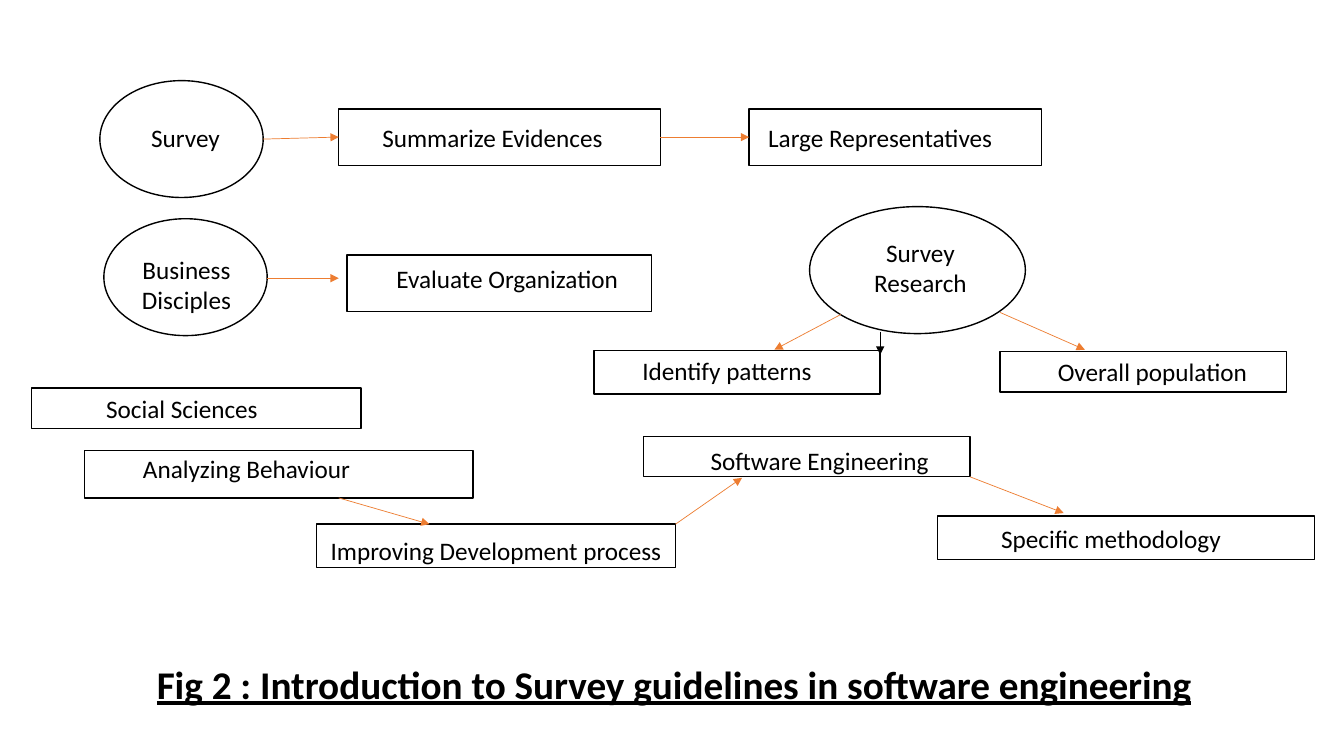
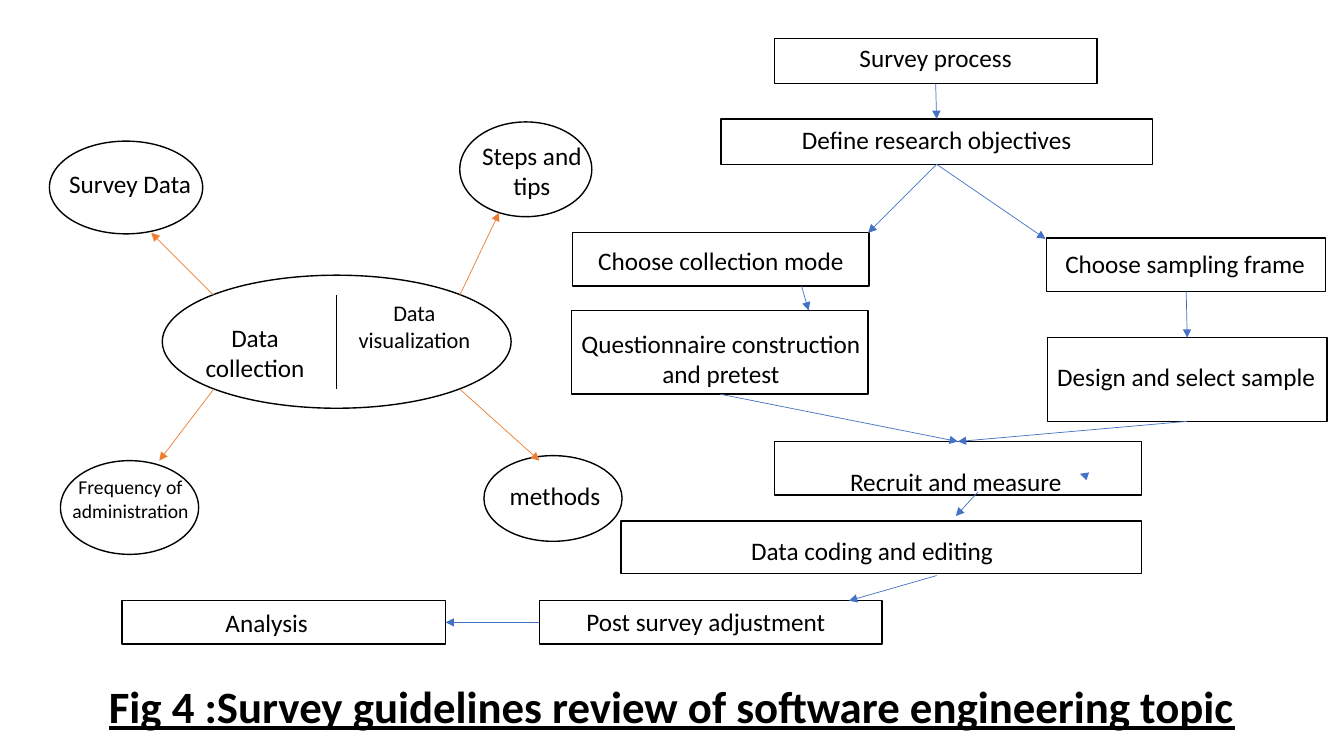
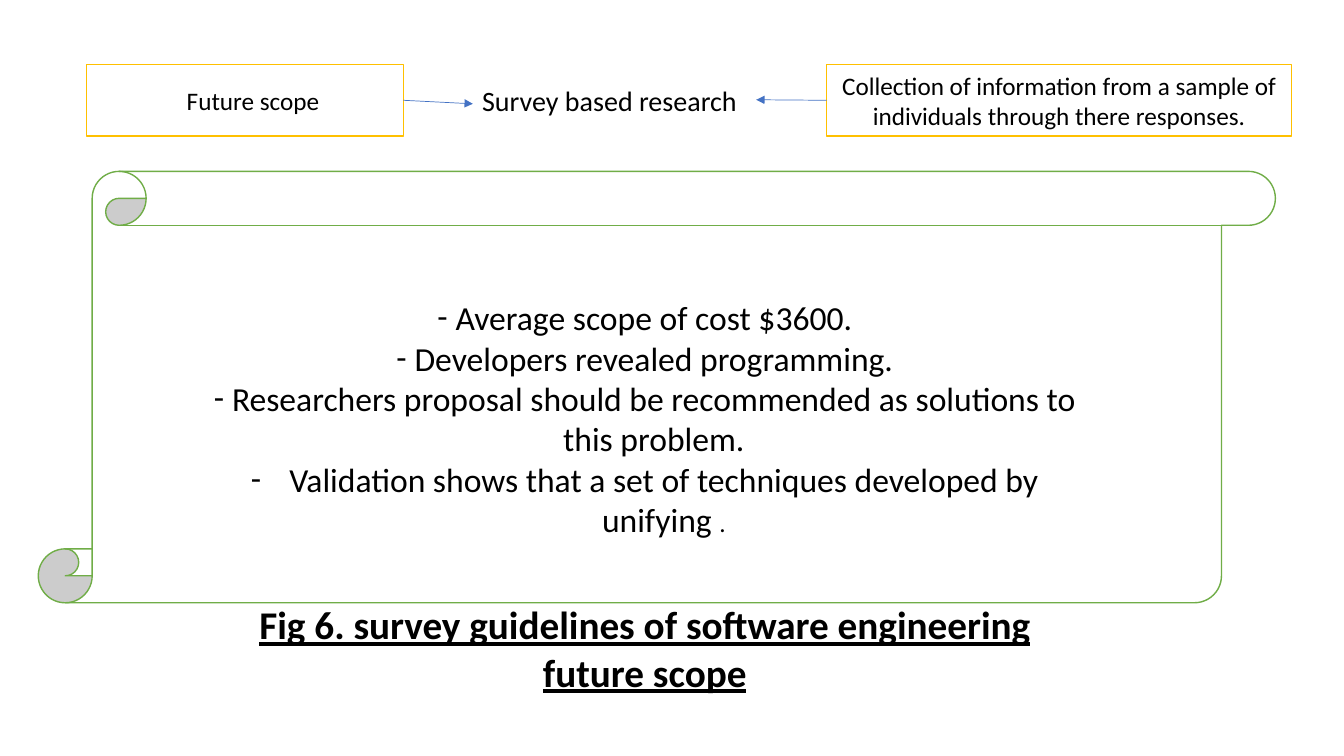
from lxml import etree
from pptx import Presentation
from pptx.dml.color import RGBColor
from pptx.enum.shapes import MSO_CONNECTOR, MSO_SHAPE
from pptx.enum.text import MSO_ANCHOR, MSO_AUTO_SIZE, PP_ALIGN
from pptx.oxml.ns import qn
from pptx.util import Inches, Pt

RECT, OVAL = MSO_SHAPE.RECTANGLE, MSO_SHAPE.OVAL
SCROLL = MSO_SHAPE.VERTICAL_SCROLL
STRAIGHT = MSO_CONNECTOR.STRAIGHT
MID, TOP = MSO_ANCHOR.MIDDLE, MSO_ANCHOR.TOP
CENTER, NO_FIT = PP_ALIGN.CENTER, MSO_AUTO_SIZE.NONE

COLORS = {"black": "000000", "white": "FFFFFF", "orange": "ED7D31",
          "blue": "4472C4", "gold": "FFC000", "green": "70AD47"}
FONT = "Calibri"
SNAP = 0.04  # how near a side's middle an arrow must end to be joined

# Content. Nodes: text, kind, box (left, top, width, height), text shift (x, y), size
# Arrows: start, end, colour
INTRO = {
    "title": ("Fig 2 : Introduction to Survey guidelines in software engineering",
              28, (0.33, 6.5, 12.71, 0.57)),
    "nodes": [
        ("Survey", OVAL, (0.99, 0.8, 1.62, 1.16), (0.04, -0.02), 18),
        ("Summarize Evidences", RECT, (3.36, 1.08, 3.19, 0.56), (-0.07, 0), 18),
        ("Large Representatives", RECT, (7.43, 1.08, 2.9, 0.56), (-0.15, 0), 18),
        ("Business\nDisciples", OVAL, (1.03, 2.17, 1.62, 1.16), (0.01, 0.07), 18),
        ("Evaluate Organization", RECT, (3.44, 2.53, 3.02, 0.56), (0.08, -0.05), 18),
        ("Survey\nResearch", OVAL, (8.03, 2.05, 2.14, 1.26), (0.03, -0.03), 18),
        ("Identify patterns", RECT, (5.89, 3.48, 2.84, 0.43), (-0.1, -0.02), 18),
        ("Overall population", RECT, (9.92, 3.49, 2.84, 0.4), (0.09, -0.01), 18),
        ("Social Sciences", RECT, (0.31, 3.85, 3.27, 0.4), (-0.14, 0), 18),
        ("Analyzing Behaviour", RECT, (0.84, 4.47, 3.85, 0.47), (-0.32, -0.06), 18),
        ("Improving Development process", RECT, (3.14, 5.2, 3.56, 0.43), (0, 0.05), 18),
        ("Software Engineering", RECT, (6.38, 4.33, 3.24, 0.4), (0.13, 0.04), 18),
        ("Specific methodology", RECT, (9.3, 5.12, 3.74, 0.43), (-0.15, 0.01), 18),
    ],
    "arrows": [
        ((2.61, 1.38), (3.36, 1.36), "orange"),
        ((6.55, 1.36), (7.43, 1.36), "orange"),
        ((2.65, 2.76), (3.36, 2.76), "orange"),
        ((8.34, 3.12), (7.68, 3.47), "orange"),
        ((9.92, 3.1), (10.76, 3.47), "orange"),
        ((8.73, 3.29), (8.73, 3.52), "black"),
        ((3.36, 4.94), (4.26, 5.2), "orange"),
        ((6.7, 5.2), (7.36, 4.74), "orange"),
        ((9.62, 4.73), (10.55, 5.09), "orange"),
    ],
}

REVIEW = {
    "title": ("Fig 4 :Survey guidelines review of software engineering topic",
              32, (0.33, 6.68, 12.67, 0.64)),
    "nodes": [
        ("", OVAL, (1.61, 2.73, 3.46, 1.32), (0, 0), 18),
        ("Survey process", RECT, (7.68, 0.38, 3.2, 0.45), (0, -0.04), 18),
        ("Define research objectives", RECT, (7.15, 1.18, 4.28, 0.45), (0, -0.02), 18),
        ("Choose collection mode", RECT, (5.68, 2.31, 2.94, 0.53), (0, 0.01), 18),
        ("Choose sampling frame", RECT, (10.38, 2.36, 2.77, 0.53), (-0.01, -0.01), 18),
        ("Questionnaire construction\nand pretest", RECT,
         (5.67, 3.08, 2.94, 0.83), (0.01, 0.06), 18),
        ("Design and select sample", RECT, (10.39, 3.35, 2.77, 0.83), (-0.01, -0.03), 18),
        ("Recruit and measure", RECT, (7.68, 4.38, 3.64, 0.53), (-0.02, 0.13), 18),
        ("Data coding and editing", RECT, (6.16, 5.17, 5.16, 0.52), (-0.09, 0.03), 18),
        ("Post survey adjustment", RECT, (5.35, 5.96, 3.4, 0.43), (-0.05, -0.01), 18),
        ("Analysis", RECT, (1.21, 5.96, 3.21, 0.43), (-0.17, 0), 18),
        ("methods", OVAL, (4.8, 4.52, 1.37, 0.85), (0.02, -0.03), 18),
        ("Steps and\vtips", OVAL, (4.56, 1.21, 1.31, 0.94), (0.06, 0.01), 18),
        ("Survey Data", OVAL, (0.49, 1.4, 1.52, 0.92), (0.04, -0.04), 18),
        ("Frequency of\nadministration", OVAL, (0.6, 4.57, 1.37, 0.93), (0.01, -0.09), 14),
    ],
    "labels": [
        ("Data\nvisualization", (3.36, 2.92, 1.5, 0.64), 16),
        ("Data collection", (1.68, 3.15, 1.7, 0.4), 18),
    ],
    "arrows": [
        ((4.56, 2.93), (4.95, 2.11), "orange"),
        ((4.56, 3.86), (5.35, 4.57), "orange"),
        ((2.12, 2.93), (1.5, 2.31), "orange"),
        ((2.12, 3.86), (1.58, 4.57), "orange"),
        ((9.29, 0.83), (9.29, 1.18), "blue"),
        ((9.29, 1.63), (8.61, 2.31), "blue"),
        ((9.29, 1.63), (10.37, 2.37), "blue"),
        ((11.77, 2.89), (11.78, 3.35), "blue"),
        ((7.95, 2.84), (8.02, 3.08), "blue"),
        ((7.15, 3.9), (9.51, 4.38), "blue"),
        ((11.78, 4.17), (9.51, 4.38), "blue"),
        ((10.74, 4.71), (10.71, 4.7), "blue"),
        ((5.35, 6.18), (4.42, 6.18), "blue"),
        ((9.7, 4.88), (9.48, 5.12), "blue"),
        ((9.29, 5.71), (8.42, 5.96), "blue"),
    ],
}
DIVIDE = ((3.34, 2.93), (3.34, 3.86), "black")

FUTURE = {
    "title": ("Fig 6. survey guidelines of software engineering future scope",
              28, (2.01, 5.91, 8.77, 1.04)),
    "edge": "gold",
    "nodes": [
        ("Future scope", RECT, (0.86, 0.64, 3.14, 0.71), (0.08, 0), 18),
        ("Collection of information from a sample of\vindividuals through there responses.",
         RECT, (8.2, 0.64, 4.61, 0.71), (0, 0), 18),
    ],
    "labels": [("Survey based research", (4.05, 0.78, 3.99, 0.44), 20)],
    "arrows": [
        ((8.2, 0.99), (7.5, 0.99), "blue"),
        ((4, 1.03), (4.69, 1.03), "blue"),
    ],
}
PAGE = (0.38, 1.7, 12.27, 4.28)
LIST = (2.01, 2.9, 8.77, 2.6)
# Text, hanging indent
POINTS = [
    ("Average scope of cost $3600.", 0.18),
    ("Developers revealed programming.", 0.18),
    ("Researchers proposal should be recommended as solutions to this problem.", 0.18),
    ("Validation shows that a set of techniques developed by unifying ", 0.38),
]


def rgb(name):
    return RGBColor.from_string(COLORS[name])


def inch(nums):
    return [Inches(n) for n in nums]


def style(font, size, bold=False):
    font.name, font.size, font.color.rgb = FONT, Pt(size), rgb("black")
    font.bold, font.underline = bold, bold


def write(frame, text, size=18, bold=False, wrap=True, anchor=TOP):
    frame.text = text
    frame.word_wrap, frame.auto_size = wrap, NO_FIT
    frame.vertical_anchor = anchor
    for par in frame.paragraphs:
        par.alignment, par.space_before = CENTER, Pt(0)
        for run in par.runs:
            style(run.font, size, bold)


def place(slide, holder, box):
    """Move a placeholder and bring it to the front."""
    holder.left, holder.top, holder.width, holder.height = inch(box)
    slide.shapes._spTree.append(holder._element)


def outline(slide, kind, box, edge="black", fill=None):
    shape = slide.shapes.add_shape(kind, *inch(box))
    shape.shadow.inherit = False
    if fill:
        shape.fill.solid()
        shape.fill.fore_color.rgb = rgb(fill)
    else:
        shape.fill.background()
    shape.line.color.rgb, shape.line.width = rgb(edge), Pt(1)
    return shape


def node(slide, text, kind, box, shift, size, edge):
    shape = outline(slide, kind, box, edge)
    if text:
        frame, (dx, dy) = shape.text_frame, shift
        write(frame, text, size=size, wrap=False, anchor=MID)
        # An inset on one side moves centred text by half its size
        frame.margin_left, frame.margin_right = inch((max(2 * dx, 0), max(-2 * dx, 0)))
        frame.margin_top, frame.margin_bottom = inch((max(2 * dy, 0), max(-2 * dy, 0)))
    return shape


def join(connect, point, rects):
    """Join an arrow's end to the side whose middle it meets."""
    for shape, (x, y, w, h) in rects:
        sides = ((x + w / 2, y), (x, y + h / 2), (x + w / 2, y + h), (x + w, y + h / 2))
        for site, (sx, sy) in enumerate(sides):
            if max(abs(point[0] - sx), abs(point[1] - sy)) < SNAP:
                connect(shape, site)
                return


def link(slide, start, end, color, rects=(), head=True):
    line = slide.shapes.add_connector(STRAIGHT, *inch(start + end))
    line.line.color.rgb, line.line.width = rgb(color), Pt(0.5)
    if head:
        etree.SubElement(line.line._get_or_add_ln(), qn("a:tailEnd"), type="triangle")
    etree.SubElement(line._element.spPr, qn("a:effectLst"))
    join(line.begin_connect, start, rects)
    join(line.end_connect, end, rects)


def bullet(par, hang):
    props = par._p.get_or_add_pPr()
    props.set("marL", str(Inches(hang)))
    props.set("indent", str(-Inches(hang)))
    etree.SubElement(props, qn("a:buFont"), typeface=FONT)
    etree.SubElement(props, qn("a:buChar"), char="-")


def build(deck, data, layout=5):
    """Draw the title, nodes, labels and arrows of one slide."""
    slide = deck.slides.add_slide(deck.slide_layouts[layout])
    rects = []
    for text, kind, box, shift, size in data["nodes"]:
        shape = node(slide, text, kind, box, shift, size, data.get("edge", "black"))
        if kind == RECT:
            rects.append((shape, box))
    for text, box, size in data.get("labels", []):
        write(slide.shapes.add_textbox(*inch(box)).text_frame, text, size=size)
    for start, end, color in data["arrows"]:
        link(slide, start, end, color, rects)
    text, size, box = data["title"]
    place(slide, slide.shapes.title, box)
    write(slide.shapes.title.text_frame, text, size=size, bold=True)
    return slide


def main():
    deck = Presentation()
    deck.slide_width, deck.slide_height = inch((13.33, 7.5))
    build(deck, INTRO)
    link(build(deck, REVIEW), *DIVIDE, head=False)

    # Scroll with the list of points
    slide = build(deck, FUTURE, layout=1)
    outline(slide, SCROLL, PAGE, edge="green", fill="white")
    body = slide.placeholders[1]
    place(slide, body, LIST)
    place(slide, slide.shapes.title, FUTURE["title"][2])
    frame = body.text_frame
    write(frame, "\n".join(text for text, _ in POINTS), size=24)
    for par, (_, hang) in zip(frame.paragraphs, POINTS):
        bullet(par, hang)
    stop = frame.paragraphs[-1].add_run()
    stop.text = "."
    style(stop.font, 18)
    deck.save("out.pptx")


if __name__ == "__main__":
    main()
